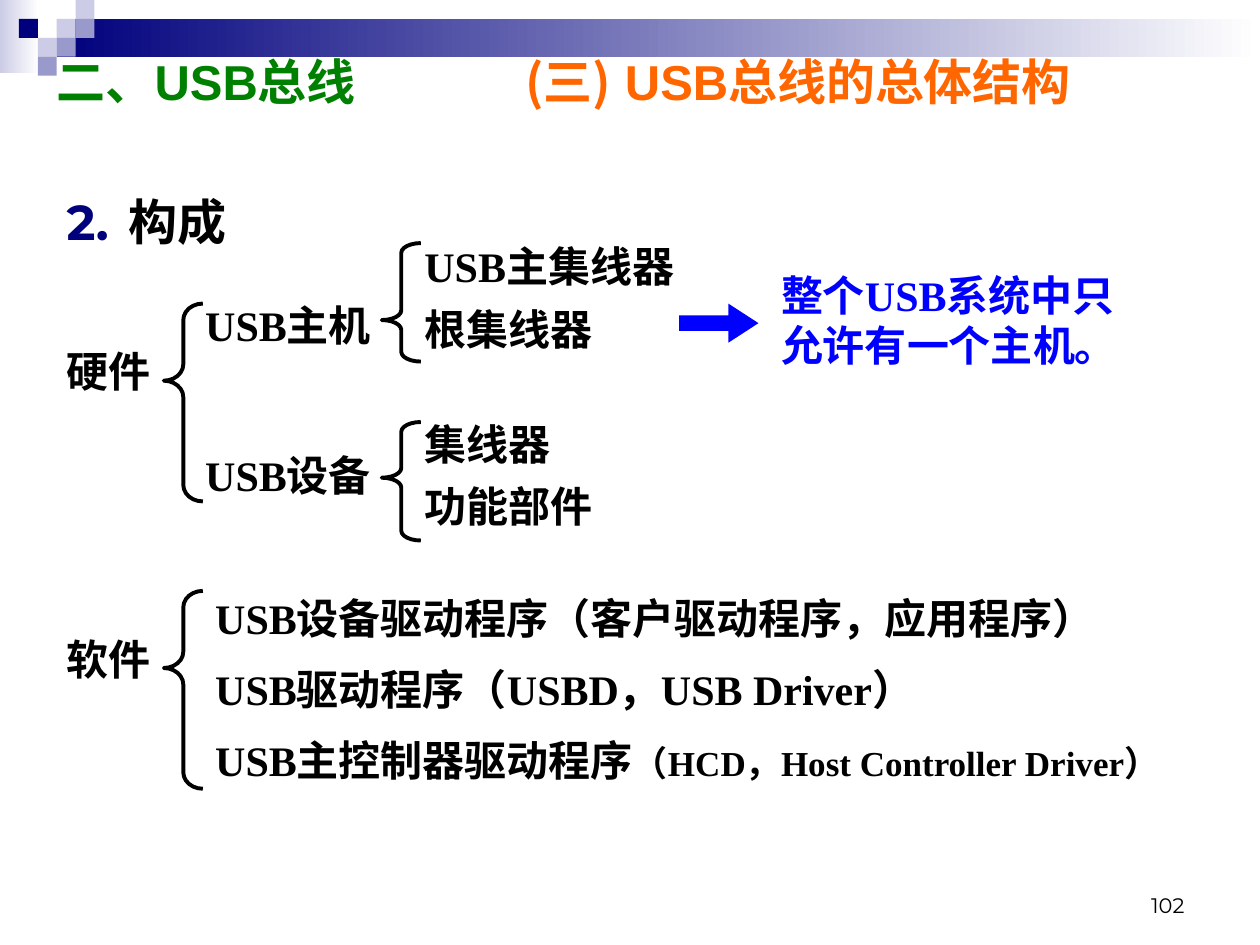
from lxml import etree
from pptx import Presentation, util as u
from pptx.dml.color import RGBColor
from pptx.enum import shapes, text
from pptx.oxml.ns import qn

COLORS = {"navy": "00007D", "lilac": "CCCCE6", "violet": "9999CC", "white": "FFFFFF",
          "black": "000000", "green": "008000", "orange": "FF6600", "blue": "0000FF"}
RGB = {name: RGBColor.from_string(value) for name, value in COLORS.items()}
CJK = "Noto Sans CJK SC"
SERIF = "Times New Roman"
FALLBACK = "Montserrat"

deck = Presentation()
deck.slide_width, deck.slide_height = u.Inches(10), u.Inches(7.5)
UNIT = deck.slide_width / 100  # grid of 100 columns by 75 rows
slide = deck.slides.add_slide(deck.slide_layouts[5])


def add_figure(preset, area, fill=None, line=None, adjust=()):
    """Draw a preset shape on a grid area; a pair of fill names makes a gradient."""
    figure = slide.shapes.add_shape(preset, *(round(n * UNIT) for n in area))
    figure.shadow.inherit = False
    if isinstance(fill, tuple):
        figure.fill.gradient()
        figure.fill.gradient_angle = 0
        for stop, name, position in zip(figure.fill.gradient_stops, fill, (0, 1)):
            stop.color.rgb = RGB[name]
            stop.position = position
    elif fill:
        figure.fill.solid()
        figure.fill.fore_color.rgb = RGB[fill]
    else:
        figure.fill.background()
    if line:
        figure.line.color.rgb = RGB[line]
        figure.line.width = u.Pt(2.25)
    else:
        figure.line.fill.background()
    for index, value in enumerate(adjust):
        figure.adjustments[index] = value


def write(box, paragraphs, gap=0, align=text.PP_ALIGN.LEFT, **frame_format):
    """Fill a box with paragraphs, each a list of (words, format changes)."""
    frame = box.text_frame
    for name, value in {"word_wrap": True, "auto_size": text.MSO_AUTO_SIZE.NONE,
                        "vertical_anchor": text.MSO_ANCHOR.TOP, **frame_format}.items():
        setattr(frame, name, value)
    for index, runs in enumerate(paragraphs):
        paragraph = frame.add_paragraph() if index else frame.paragraphs[0]
        paragraph.alignment = align
        paragraph.space_before = u.Pt(gap if index else 0)
        for words, changes in runs:
            run = paragraph.add_run()
            run.text = words
            style = {"name": SERIF, "size": 24, "bold": True, "color": "black", **changes}
            run.font.color.rgb = RGB[style.pop("color")]
            style["size"] = u.Pt(style["size"])
            for name, value in style.items():
                setattr(run.font, name, value)
            east_asian = etree.SubElement(run.font._element, qn("a:ea"))
            east_asian.set("typeface", CJK if style["name"] == CJK else FALLBACK)
    return frame


# Header band and mosaic tiles
RECT = shapes.MSO_SHAPE.RECTANGLE
TILE = 1.5
add_figure(RECT, (0, 0, 3.1, 5.8), ("lilac", "white"))
add_figure(RECT, (3 * TILE, TILE, 95.5, 2 * TILE), ("navy", "white"))
for column, row, color in ((3, 1, "lilac"), (4, 0, "lilac"), (4, 1, "violet"), (2, 2, "lilac"),
                           (1, 1, "navy"), (3, 2, "violet"), (2, 3, "violet")):
    add_figure(RECT, (column * TILE, row * TILE, TILE, TILE), color)

# Title, with a tab stop between its two parts
title = slide.shapes.title
for side, cells in zip(("left", "top", "width", "height"), (3.5, 3.6, 91.3, 6.3)):
    setattr(title, side, round(cells * UNIT))
heading = title.text_frame.paragraphs[0]._p.get_or_add_pPr()
tabs = etree.SubElement(heading, qn("a:tabLst"))
etree.SubElement(tabs, qn("a:tab"), pos=str(round(37.2 * UNIT)), algn="l")
orange = {"size": 28, "color": "orange"}
write(title, [[("二、USB总线\t", {"size": 28, "color": "green", "name": "Arial"}),
               ("(三)", {**orange, "name": CJK}),
               (" USB总线的总体结构", {**orange, "name": "Arial"})]])

# Text blocks: area, paragraphs, gap between paragraphs in points
section_area = (4.3, 14.7, 93.7, 6)
blocks = [
    (section_area, [[("构成", {"size": 28})]], 0),
    ((4.3, 26.9, 10.2, 5), [[("硬件", {})]], 0),
    ((15.3, 23.3, 16.5, 17), [[("USB主机", {})], [("USB设备", {})]], 57),
    ((32.7, 18.6, 23.6, 10.2), [[("USB主集线器", {})], [("根集线器", {})]], 7),
    ((32.7, 32.7, 17.3, 10.2), [[("集线器", {})], [("功能部件", {})]], 7),
    ((61, 20.9, 29.1, 13), [[("整个USB系统中只允许有一个主机。", {"color": "blue"})]], 0),
    ((4.3, 49.8, 10.2, 5), [[("软件", {})]], 0),
    ((16.1, 46.5, 79.5, 19), [
        [("USB设备驱动程序（客户驱动程序，应用程序）", {})],
        [("USB驱动程序（USBD，USB Driver）", {})],
        [("USB主控制器驱动程序", {}), ("（HCD，Host Controller Driver）", {"size": 20})]], 12),
]
for area, paragraphs, gap in blocks:
    box = slide.shapes.add_textbox(*(round(n * UNIT) for n in area))
    frame = write(box, paragraphs, gap)
    if area == section_area:
        numbering = frame.paragraphs[0]._p.get_or_add_pPr()
        indent = round(4.9 * UNIT)
        numbering.set("marL", str(indent))
        numbering.set("indent", str(-indent))
        bullet_color = etree.SubElement(numbering, qn("a:buClr"))
        etree.SubElement(bullet_color, qn("a:srgbClr"), val=COLORS["navy"])
        etree.SubElement(numbering, qn("a:buFont"), typeface=CJK)
        etree.SubElement(numbering, qn("a:buAutoNum"), type="arabicPeriod", startAt="2")

page_number = slide.shapes.add_textbox(*(round(n * UNIT) for n in (71.7, 69.8, 23.3, 3.5)))
write(page_number, [[("102", {"name": FALLBACK, "size": 12, "bold": False})]],
      align=text.PP_ALIGN.RIGHT, vertical_anchor=text.MSO_ANCHOR.BOTTOM)

# Braces of the tree and the arrow to the remark
for left, top, height, adjust in ((13, 24.1, 15.7, (0.42, 0.39)), (13, 46.9, 15.7, (0.42, 0.39)),
                                  (30.3, 19.3, 9.4, (0.25, 0.65)), (30.3, 33.5, 9.4, (0.25, 0.47))):
    add_figure(shapes.MSO_SHAPE.LEFT_BRACE, (left, top, 3.1, height), line="black", adjust=adjust)
add_figure(shapes.MSO_SHAPE.RIGHT_ARROW, (53.9, 24.1, 6.3, 3.1), "blue", adjust=(0.4, 0.77))

deck.save("out.pptx")
